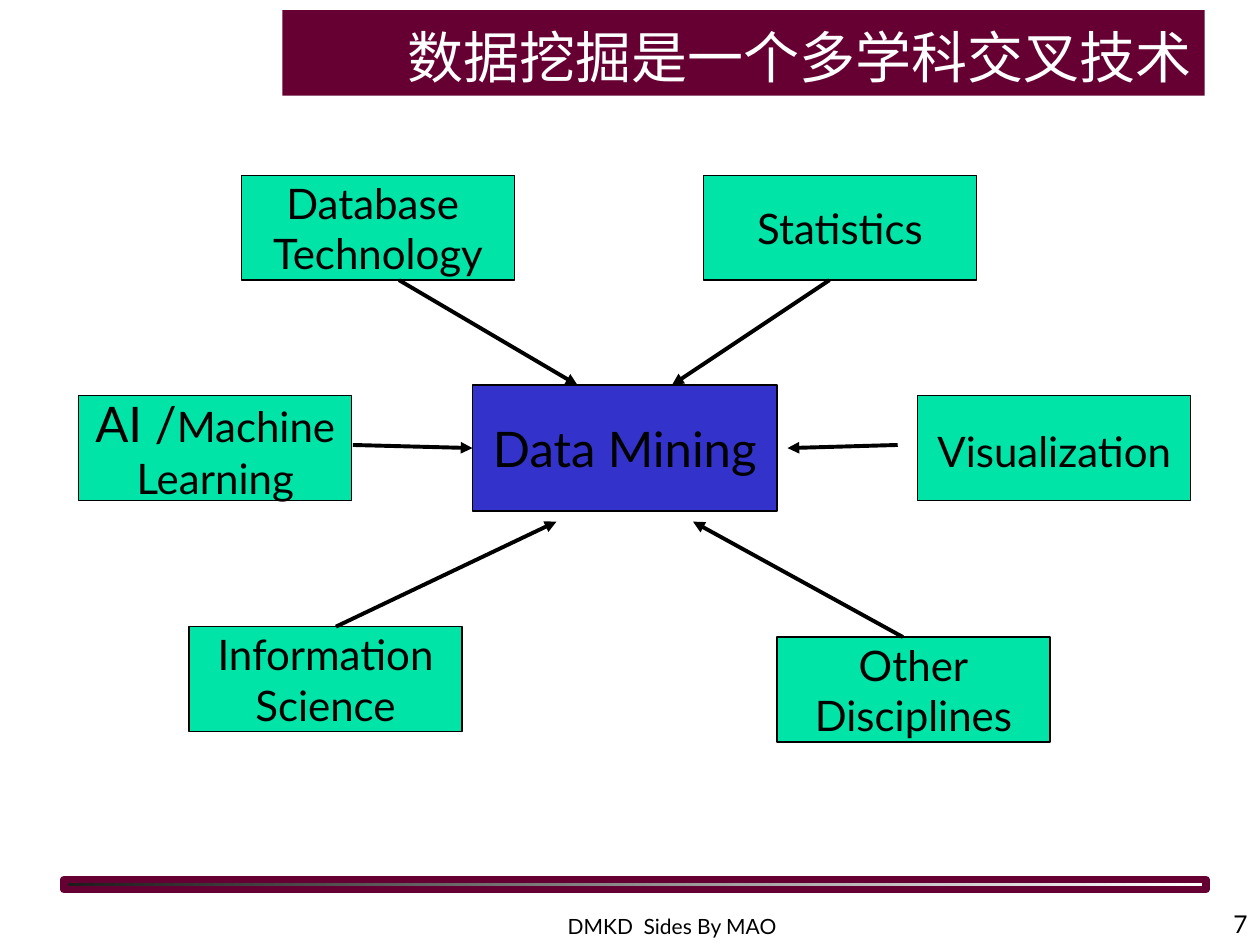
from lxml import etree
from pptx import Presentation, util as u
from pptx.dml.color import RGBColor
from pptx.enum import shapes, text
from pptx.oxml.ns import qn

MAROON = RGBColor(0x66, 0x00, 0x33)
BLUE = RGBColor(0x33, 0x33, 0xCC)
GREEN = RGBColor(0x00, 0xE4, 0xA8)
CHARCOAL = RGBColor(0x1C, 0x1C, 0x1C)
BLACK = RGBColor(0, 0, 0)
WHITE = RGBColor(0xFF, 0xFF, 0xFF)

LATIN_FONT = "Lato"
CHINESE_FONT = "Noto Sans CJK SC"
UNIT = 1 / 12  # diagram grid step in inches
DIAGRAM_ORIGIN = (0, 1.39)

# Diagram grid: columns and rows counted in units
TOPIC_SIZE = (26, 10)
HUB_BOX = (45, 20, 29, 12)
# lines, column, row of the box, arrow start, arrow end, side of the hub joined
TOPICS = [
    (["Database ", "Technology"], 23, 0, (38, 10), (55, 20), None),
    (["Statistics"], 67, 0, (79, 10), (64, 20), None),
    (["Other", "Disciplines"], 74, 44, (86, 44), (66, 33), None),
    (["Information", "Science"], 18, 43, (32, 43), (53, 33), None),
    (["AI /Machine", "Learning"], 7.5, 21, (33.6, 25.7), (45, 26), 1),
    (["Visualization"], 87.4, 21, (85.5, 25.7), (75, 26), None),
]


def inches(*lengths):
    return [u.Inches(length) for length in lengths]


def grid_point(column, row):
    left, top = DIAGRAM_ORIGIN
    return inches(left + column * UNIT, top + row * UNIT)


def grid_box(column, row, columns, rows):
    return grid_point(column, row) + inches(columns * UNIT, rows * UNIT)


def style_text(frame, size, color, alignment, anchor, font=LATIN_FONT):
    frame.vertical_anchor = anchor
    for paragraph in frame.paragraphs:
        paragraph.alignment = alignment
        for run in paragraph.runs:
            run.font.size = u.Pt(size)
            run.font.name = font
            run.font.color.rgb = color


def add_title(slide, box, wording):
    title = slide.shapes.title
    title.left, title.top, title.width, title.height = inches(*box)
    title.fill.solid()
    title.fill.fore_color.rgb = MAROON
    frame = title.text_frame
    frame.text = wording
    frame.auto_size = text.MSO_AUTO_SIZE.NONE
    style_text(frame, 32, WHITE, text.PP_ALIGN.RIGHT,
               text.MSO_ANCHOR.BOTTOM, CHINESE_FONT)
    # East Asian typeface of the title
    properties = frame.paragraphs[0].runs[0].font._element
    etree.SubElement(properties, qn("a:ea")).set("typeface", CHINESE_FONT)


def add_box(slide, box, lines, size, color):
    shape = slide.shapes.add_shape(shapes.MSO_SHAPE.RECTANGLE, *box)
    shape.shadow.inherit = False
    shape.fill.solid()
    shape.fill.fore_color.rgb = color
    shape.line.color.rgb = BLACK
    shape.line.width = u.Pt(0.75)
    frame = shape.text_frame
    frame.word_wrap = False
    frame.text = "\n".join(lines)
    style_text(frame, size, BLACK, text.PP_ALIGN.CENTER,
               text.MSO_ANCHOR.MIDDLE)
    return shape


def add_arrow(slide, start, end, hub, side):
    arrow = slide.shapes.add_connector(
        shapes.MSO_CONNECTOR.STRAIGHT, *grid_point(*start), *grid_point(*end))
    if side is not None:
        arrow.end_connect(hub, side)
    arrow.line.color.rgb = BLACK
    arrow.line.width = u.Pt(2.25)
    line = arrow.line._get_or_add_ln()
    etree.SubElement(line, qn("a:tailEnd")).set("type", "triangle")
    etree.SubElement(arrow._element.spPr, qn("a:effectLst"))


def add_diagram(slide):
    hub = add_box(slide, grid_box(*HUB_BOX), ["Data Mining"], 28, BLUE)
    for lines, column, row, start, end, side in TOPICS:
        topic = add_box(slide, grid_box(column, row, *TOPIC_SIZE),
                        lines, 24, GREEN)
        first = topic.text_frame.paragraphs[0]
        if lines[0] == "Visualization":
            first.line_spacing = 1.1
        # The abbreviation is set larger than the rest of its line
        if lines[0].startswith("AI /"):
            first.runs[0].text = "AI /"
            first.runs[0].font.size = u.Pt(28)
            rest = first.add_run()
            rest.text = "Machine"
            rest.font.size = u.Pt(24)
            rest.font.name = LATIN_FONT
            rest.font.color.rgb = BLACK
        add_arrow(slide, start, end, hub, side)


def add_footer_text(slide, box, wording, size, alignment):
    frame = slide.shapes.add_textbox(*inches(*box)).text_frame
    frame.word_wrap = True
    frame.text = wording
    style_text(frame, size, BLACK, alignment, text.MSO_ANCHOR.BOTTOM)


def add_footer(slide, rule_box):
    # Gradient rule with a thick border
    rule = slide.shapes.add_shape(shapes.MSO_SHAPE.RECTANGLE,
                                  *inches(*rule_box))
    rule.shadow.inherit = False
    rule.fill.gradient()
    rule.fill.gradient_angle = 0
    for stop, color in zip(rule.fill.gradient_stops, (CHARCOAL, WHITE)):
        stop.color.rgb = color
    rule.line.color.rgb = MAROON
    rule.line.width = u.Pt(4.5)
    # Footer and page number
    add_footer_text(slide, (3.75, 7.08, 3.17, 0.42), "DMKD  Sides By MAO",
                    12, text.PP_ALIGN.CENTER)
    add_footer_text(slide, (7.92, 7, 2.08, 0.5), "7",
                    14, text.PP_ALIGN.RIGHT)


def main():
    presentation = Presentation()
    presentation.slide_width, presentation.slide_height = inches(10, 7.5)
    slide = presentation.slides.add_slide(presentation.slide_layouts[5])
    add_footer(slide, (0.51, 6.98, 9.06, 0.08))
    add_title(slide, (2.24, 0.08, 7.32, 0.68), "数据挖掘是一个多学科交叉技术")
    add_diagram(slide)
    presentation.save("out.pptx")


if __name__ == "__main__":
    main()
